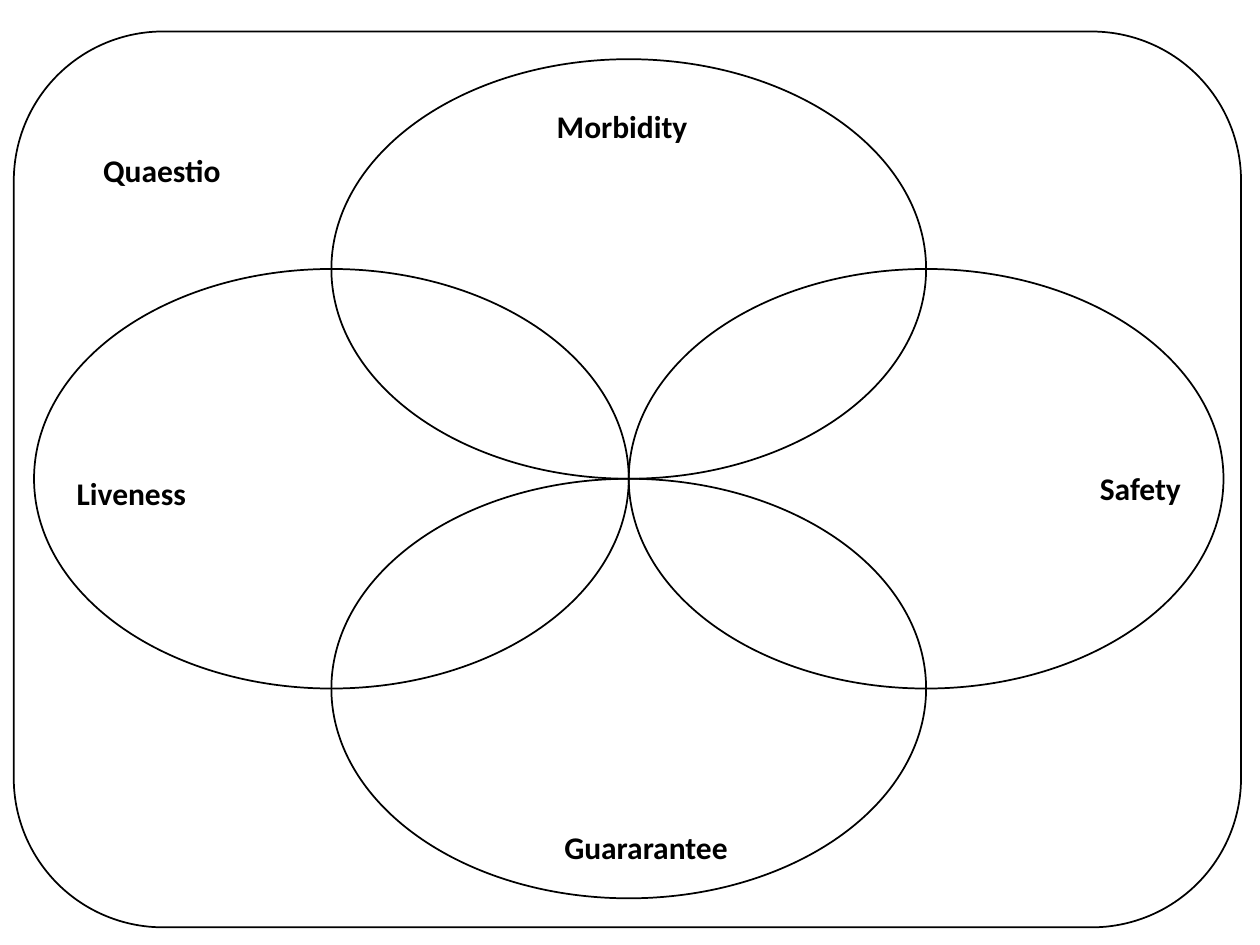
"""Build a slide of four overlapping ellipses inside a rounded frame."""
from pptx import Presentation
from pptx.dml.color import RGBColor
from pptx.enum.shapes import MSO_SHAPE as Shape
from pptx.enum.text import MSO_AUTO_SIZE as AutoSize
from pptx.util import Inches, Pt

COLORS = {"ink": "000000"}
LABEL_FONT = {"name": "Calibri", "size": Pt(18), "bold": True}
CENTER_X, CENTER_Y = 4.99, 3.8
ELLIPSE_WIDTH, ELLIPSE_HEIGHT = 4.72, 3.33
LABEL_HEIGHT = 0.4
DIRECTIONS = [(-1, 0), (1, 0), (0, -1), (0, 1)]
ELLIPSE_LABELS = [
    ("Morbidity", 4.32, 0.8, 1.25),
    ("Liveness", 0.51, 3.71, 1.07),
    ("Safety", 8.63, 3.67, 0.85),
    ("Guararantee", 4.38, 6.52, 1.51),
]
FRAME_LABEL = ("Quaestio", 0.72, 1.15, 1.14)


def add_outline(slide, kind, left, top, width, height):
    shape = slide.shapes.add_shape(
        kind, Inches(left), Inches(top), Inches(width), Inches(height))
    shape.shadow.inherit = False
    shape.fill.background()
    shape.line.color.rgb = RGBColor.from_string(COLORS["ink"])
    shape.line.width = Pt(1)


def add_petal(slide, across, down):
    left = CENTER_X + (across - 1) * ELLIPSE_WIDTH / 2
    top = CENTER_Y + (down - 1) * ELLIPSE_HEIGHT / 2
    add_outline(slide, Shape.OVAL, left, top, ELLIPSE_WIDTH, ELLIPSE_HEIGHT)


def add_label(slide, text, left, top, width):
    box = slide.shapes.add_textbox(
        Inches(left), Inches(top), Inches(width), Inches(LABEL_HEIGHT))
    frame = box.text_frame
    frame.word_wrap = False
    frame.auto_size = AutoSize.SHAPE_TO_FIT_TEXT
    run = frame.paragraphs[0].add_run()
    run.text = text
    for name, value in LABEL_FONT.items():
        setattr(run.font, name, value)
    run.font.color.rgb = RGBColor.from_string(COLORS["ink"])


def main():
    presentation = Presentation()
    presentation.slide_width = Inches(10)
    presentation.slide_height = Inches(7.5)
    slide = presentation.slides.add_slide(presentation.slide_layouts[6])
    for across, down in DIRECTIONS:
        add_petal(slide, across, down)
    for label in ELLIPSE_LABELS:
        add_label(slide, *label)
    add_outline(slide, Shape.ROUNDED_RECTANGLE, 0.11, 0.25, 9.74, 7.11)
    add_label(slide, *FRAME_LABEL)
    presentation.save("out.pptx")


if __name__ == "__main__":
    main()
